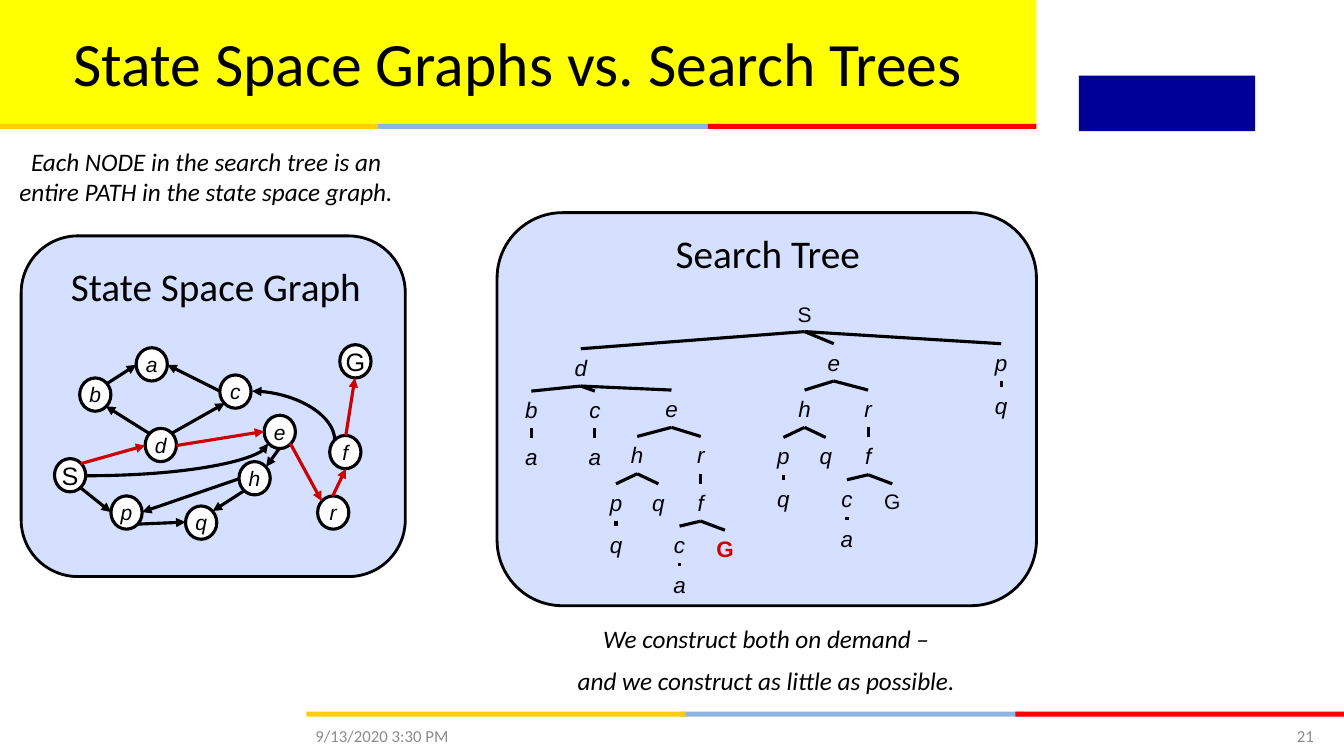
from dataclasses import dataclass

import pptx
import pptx.util
import pptx.dml.color
import pptx.enum.shapes
import pptx.enum.text
import pptx.oxml
import pptx.oxml.ns

Inches = pptx.util.Inches
Pt = pptx.util.Pt
Shapes = pptx.enum.shapes.MSO_SHAPE
Connectors = pptx.enum.shapes.MSO_CONNECTOR
Align = pptx.enum.text.PP_ALIGN
Anchor = pptx.enum.text.MSO_ANCHOR


@dataclass(frozen=True)
class Theme:
    black: str = "000000"
    white: str = "FFFFFF"
    banner: str = "FFFF00"
    gold: str = "FFCE00"
    blue: str = "8EB4E3"
    red: str = "FF0000"
    panel: str = "D5DFFF"
    path_red: str = "CC0000"
    navy: str = "000099"
    gray: str = "8C8C8C"
    body_font: str = "Calibri"
    node_font: str = "Arial"
    title: int = 44
    heading: int = 28
    note: int = 18
    end_node: int = 18
    tree_node: int = 16
    node: int = 15
    footer: int = 12


THEME = Theme()


@dataclass(frozen=True)
class TreeNode:
    label: str
    x: float
    y: float
    children: tuple = ()
    goal: bool = False


GRAPH_NODES = {
    "S": (0.54, 4.55), "G": (3.37, 3.42), "d": (1.44, 4.25), "b": (0.79, 3.75),
    "p": (1.1, 4.92), "q": (1.84, 5.02), "c": (2.18, 3.72), "e": (2.62, 4.12),
    "h": (2.37, 4.58), "a": (1.35, 3.45), "f": (3.27, 4.32), "r": (3.15, 4.92),
}
PLAIN_EDGES = [
    (0.8, 4.84, 1.1, 5.08), (1.36, 5.2, 1.84, 5.18), (2.42, 4.87, 2.11, 5.07),
    (2.37, 4.75, 1.41, 5.08), (2.77, 4.45, 2.64, 4.63), (1.48, 4.3, 1.05, 4.03),
    (1.07, 3.8, 1.35, 3.62), (2.18, 3.88, 1.66, 3.62), (1.7, 4.3, 2.23, 4),
]
PATH_EDGES = [
    (0.8, 4.6, 1.44, 4.42), (1.75, 4.42, 2.62, 4.28), (2.88, 4.4, 3.19, 4.97),
    (3.3, 4.92, 3.43, 4.65), (3.43, 4.32, 3.52, 3.75),
]


def rgb(color):
    return pptx.dml.color.RGBColor.from_string(color)


def add_run(paragraph, text, size, font, color=THEME.black, bold=False, italic=False):
    run = paragraph.add_run()
    run.text = text
    run.font.size = Pt(size)
    run.font.name = font
    run.font.bold = bold
    run.font.italic = italic
    run.font.color.rgb = rgb(color)


def add_text(slide, box, lines, align=Align.LEFT, anchor=Anchor.TOP, gap=0):
    shape = slide.shapes.add_textbox(*map(Inches, box))
    frame = shape.text_frame
    frame.word_wrap = True
    frame.vertical_anchor = anchor
    for index, runs in enumerate(lines):
        paragraph = frame.add_paragraph() if index else frame.paragraphs[0]
        paragraph.alignment = align
        if index:
            paragraph.space_before = Pt(gap)
        for text, style in runs:
            add_run(paragraph, text, **style)
    return shape


def add_block(slide, preset, box, fill, line_width=0):
    shape = slide.shapes.add_shape(preset, *map(Inches, box))
    shape.shadow.inherit = False
    shape.fill.solid()
    shape.fill.fore_color.rgb = rgb(fill)
    if line_width:
        shape.line.color.rgb = rgb(THEME.black)
        shape.line.width = Pt(line_width)
    else:
        shape.line.fill.background()
    return shape


def add_stripe(slide, left, top):
    for offset, width, color in ((3.71, 3.4, THEME.blue), (7.03, 3.26, THEME.red), (0, 3.76, THEME.gold)):
        add_block(slide, Shapes.RECTANGLE, (left + offset, top, width, 0.05), color)


def add_line(slide, points, color=THEME.black, arrow=None, curved=False):
    kind = Connectors.CURVE if curved else Connectors.STRAIGHT
    connector = slide.shapes.add_connector(kind, *map(Inches, points))
    connector.line.color.rgb = rgb(color)
    connector.line.width = Pt(2.25)
    properties = connector._element.spPr
    if curved:
        properties.find(pptx.oxml.ns.qn("a:prstGeom")).set("prst", "curvedConnector2")
    if arrow:
        end = pptx.oxml.parse_xml(f'<a:{arrow} {pptx.oxml.ns.nsdecls("a")} type="triangle"/>')
        connector.line._get_or_add_ln().append(end)
    properties.append(pptx.oxml.parse_xml(f'<a:effectLst {pptx.oxml.ns.nsdecls("a")}/>'))
    return connector


def add_graph_node(slide, label, left, top):
    shape = add_block(slide, Shapes.FLOWCHART_CONNECTOR, (left, top, 0.31, 0.33), THEME.white, 2.25)
    frame = shape.text_frame
    frame.word_wrap = False
    frame.vertical_anchor = Anchor.MIDDLE
    frame.margin_left = frame.margin_right = frame.margin_top = frame.margin_bottom = 0
    paragraph = frame.paragraphs[0]
    paragraph.alignment = Align.CENTER
    size = THEME.end_node if label.isupper() else THEME.node
    add_run(paragraph, label, size, THEME.node_font, italic=label.islower())


def add_graph(slide):
    for label, (left, top) in GRAPH_NODES.items():
        add_graph_node(slide, label, left, top)
    for edges, color in ((PLAIN_EDGES, THEME.black), (PATH_EDGES, THEME.path_red)):
        for points in edges:
            add_line(slide, points, color, "tailEnd")
    add_line(slide, (2.5, 3.88, 3.32, 4.37), arrow="headEnd", curved=True)
    add_line(slide, (0.85, 4.72, 2.66, 4.4), arrow="tailEnd", curved=True)


def expand_e(x, y, h, goal):
    p = TreeNode("p", h - 0.21, y + 0.93, (TreeNode("q", h - 0.21, y + 1.35),))
    q = TreeNode("q", h + 0.21, y + 0.93)
    c = TreeNode("c", h + 0.42, y + 1.35, (TreeNode("a", h + 0.42, y + 1.75),))
    f = TreeNode("f", h + 0.63, y + 0.93, (c, TreeNode("G", h + 0.87, y + 1.39, goal=goal)))
    r = TreeNode("r", h + 0.63, y + 0.46, (f,))
    return TreeNode("e", x, y, (TreeNode("h", h, y + 0.46, (p, q)), r))


def search_tree():
    b = TreeNode("b", 5.27, 3.88, (TreeNode("a", 5.27, 4.35),))
    c = TreeNode("c", 5.9, 3.88, (TreeNode("a", 5.9, 4.35),))
    d = TreeNode("d", 5.76, 3.46, (b, c, expand_e(6.66, 3.87, 6.32, True)))
    p = TreeNode("p", 9.93, 3.41, (TreeNode("q", 9.93, 3.84),))
    return TreeNode("S", 7.98, 2.94, (d, expand_e(8.27, 3.41, 7.98, False), p))


def add_tree(slide, node):
    small = node.label.isupper() and not node.goal
    width = 0.69 if node.label.isupper() else 0.35
    style = dict(size=THEME.node if small else THEME.tree_node, font=THEME.node_font,
                 color=THEME.path_red if node.goal else THEME.black,
                 bold=node.goal, italic=node.label.islower())
    box = (node.x - width / 2, node.y, width, 0.35 if small else 0.37)
    shape = add_text(slide, box, [[(node.label, style)]], Align.CENTER)
    for child in node.children:
        child_shape = add_tree(slide, child)
        edge = add_line(slide, (node.x, node.y, child.x, child.y))
        edge.begin_connect(shape, 2)
        edge.end_connect(child_shape, 0)
    return shape


def add_title(slide, text):
    title = slide.shapes.title
    title.left, title.top, title.width, title.height = map(Inches, (0, 0, 10.28, 1.23))
    title.text_frame.vertical_anchor = Anchor.MIDDLE
    paragraph = title.text_frame.paragraphs[0]
    paragraph.alignment = Align.CENTER
    add_run(paragraph, text, THEME.title, THEME.body_font)
    slide.shapes._spTree.append(title._element)


def main():
    presentation = pptx.Presentation()
    presentation.slide_width, presentation.slide_height = Inches(13.33), Inches(7.5)
    slide = presentation.slides.add_slide(presentation.slide_layouts[5])
    heading = dict(size=THEME.heading, font=THEME.body_font)
    note = dict(size=THEME.note, font=THEME.body_font, italic=True)
    footer = dict(size=THEME.footer, font=THEME.body_font, color=THEME.gray)

    add_stripe(slide, 3.04, 7.06)
    add_block(slide, Shapes.RECTANGLE, (0, 0, 10.28, 1.23), THEME.banner)
    add_stripe(slide, -0.01, 1.23)
    add_block(slide, Shapes.RECTANGLE, (10.7, 0.75, 1.75, 0.55), THEME.navy)
    add_block(slide, Shapes.ROUNDED_RECTANGLE, (4.93, 2.11, 5.35, 3.9), THEME.panel, 2)
    add_block(slide, Shapes.ROUNDED_RECTANGLE, (0.21, 2.34, 3.81, 3.38), THEME.panel, 2)
    add_title(slide, "State Space Graphs vs. Search Trees")
    add_tree(slide, search_tree())
    add_graph(slide)
    add_text(slide, (5.32, 6.13, 4.56, 0.86), [[("We construct both on demand –", note)],
             [("and we construct as little as possible.", note)]], Align.CENTER, gap=9)
    add_text(slide, (0, 1.4, 4.09, 0.71),
             [[("Each NODE in the search tree is an entire PATH in the state space graph.", note)]], Align.CENTER)
    add_text(slide, (4.95, 2.23, 5.33, 0.57), [[("Search Tree", heading)]], Align.CENTER)
    add_text(slide, (0.46, 2.55, 3.36, 0.57), [[("State Space Graph", heading)]], Align.CENTER)
    add_text(slide, (3.03, 7.1, 3.11, 0.4), [[("9/13/2020 3:30 PM", footer)]], anchor=Anchor.MIDDLE)
    add_text(slide, (11.67, 7.1, 1.46, 0.4), [[("21", footer)]], Align.RIGHT, Anchor.MIDDLE)
    presentation.save("out.pptx")


if __name__ == "__main__":
    main()
